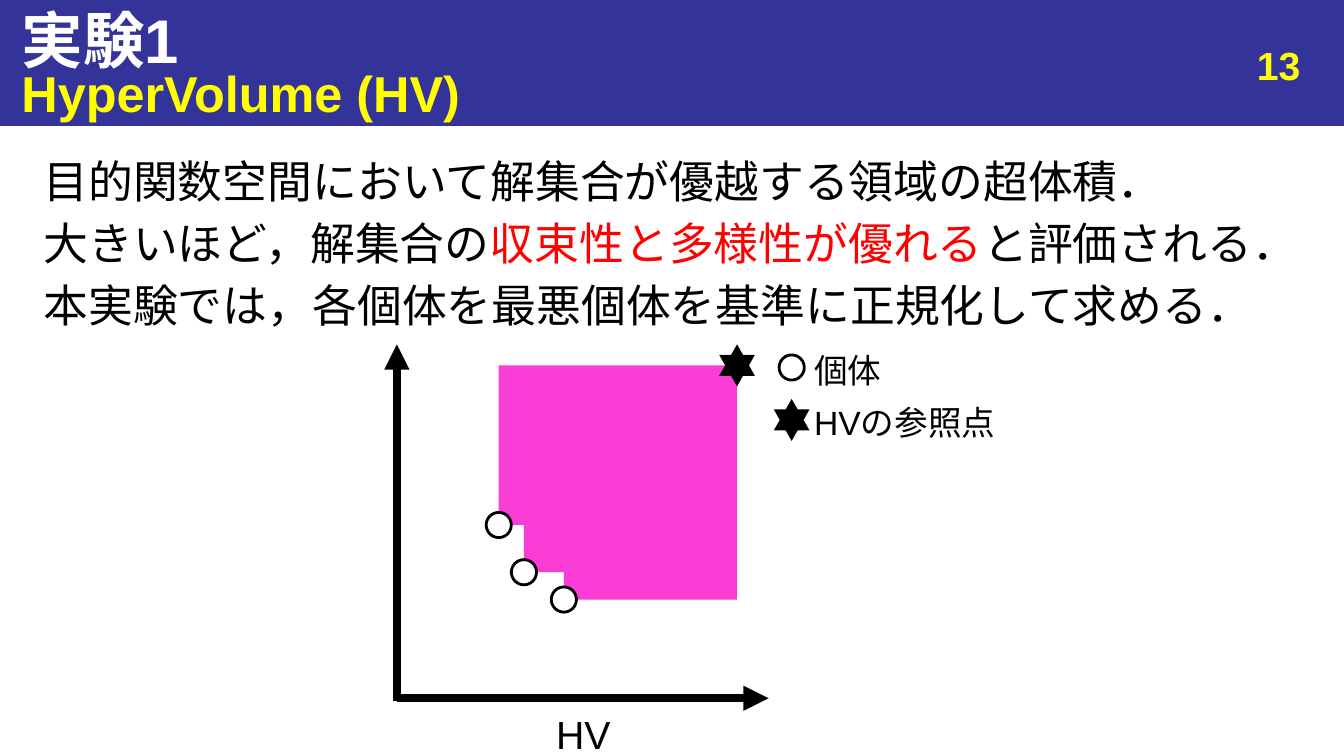
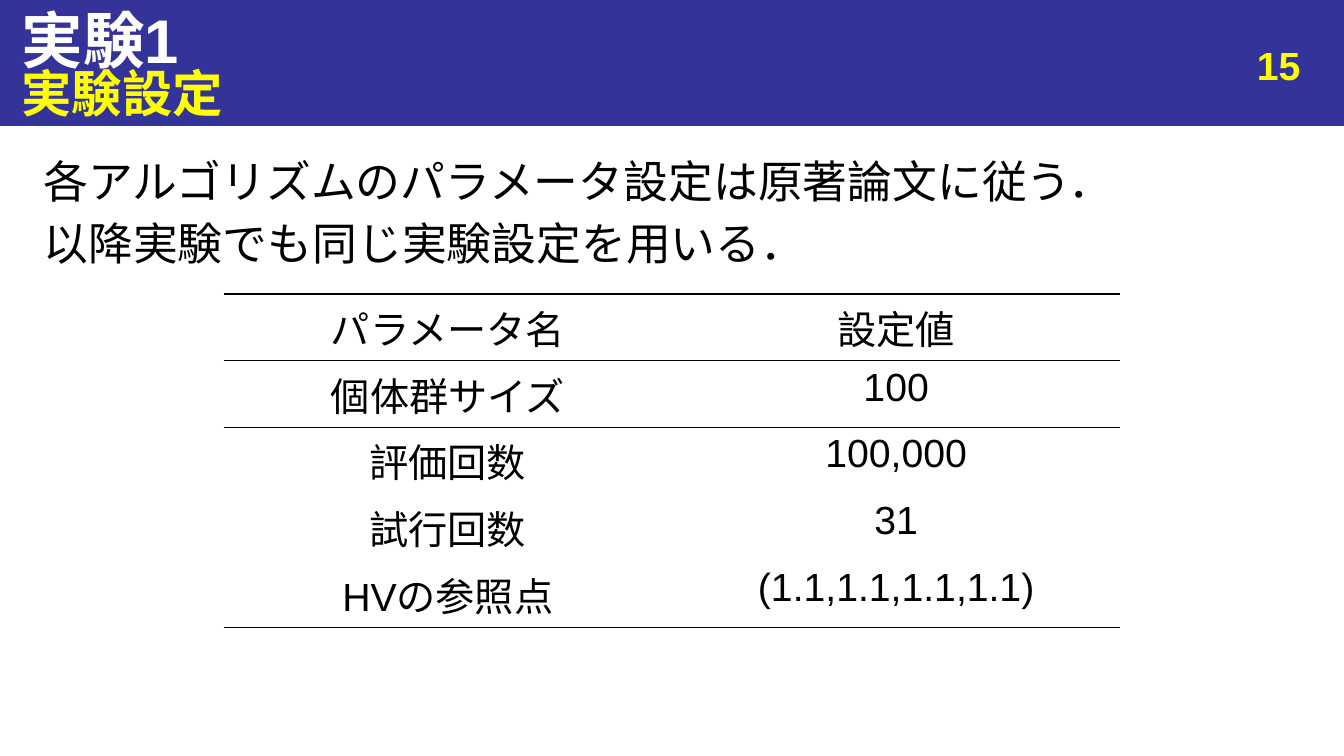
from lxml import etree
from pptx import Presentation
from pptx.dml.color import RGBColor
from pptx.enum.shapes import MSO_CONNECTOR as CONNECTOR, MSO_SHAPE as SHAPE
from pptx.enum.text import MSO_ANCHOR as ANCHOR, MSO_AUTO_SIZE as AUTO_SIZE, PP_ALIGN as ALIGN
from pptx.oxml.ns import qn
from pptx.util import Pt

PX = 9525
WIDTH, HEIGHT = 1280, 720
FONT = "Arial"
NAVY = RGBColor(0x33, 0x33, 0x99)
YELLOW = RGBColor(0xFF, 0xFF, 0x00)
WHITE = RGBColor(0xFF, 0xFF, 0xFF)
BLACK = RGBColor(0, 0, 0)
RED = RGBColor(0xFF, 0, 0)
PINK = RGBColor(0xF9, 0x3D, 0xD5)

TITLE = "実験1"
# Each paragraph is a list of (text, colour) runs.
HV_BODY = [
    [("目的関数空間において解集合が優越する領域の超体積．", BLACK)],
    [("大きいほど，解集合の", BLACK), ("収束性と多様性が優れる", RED), ("と評価される．", BLACK)],
    [("本実験では，各個体を最悪個体を基準に正規化して求める．", BLACK)],
]
SETTINGS_BODY = [
    [("各アルゴリズムのパラメータ設定は原著論文に従う．", BLACK)],
    [("以降実験でも同じ実験設定を用いる．", BLACK)],
]
SETTINGS = [
    ("パラメータ名", "設定値"),
    ("個体群サイズ", "100"),
    ("評価回数", "100,000"),
    ("試行回数", "31"),
    ("HVの参照点", "(1.1,1.1,1.1,1.1)"),
]
RULED_ABOVE = {0, 1, 2, len(SETTINGS)}  # row boundaries that carry a line

INDIVIDUALS = [(475, 500), (499, 545), (537, 571)]
REFERENCE = (702, 348)
ORIGIN = (378, 665)
AXES = [((378, 668), (378, 328)), (ORIGIN, (732, 665))]
LEGEND_X, LEGEND_TEXT_X = 754, 766
LEGEND = [("個体", "individual", 350), ("HVの参照点", "reference", 400)]
MARKERS = {
    "individual": (SHAPE.OVAL, 24, 24, WHITE, BLACK),
    "reference": (SHAPE.STAR_6_POINT, 34, 40, BLACK, None),
}


def px(*lengths):
    return [round(length * PX) for length in lengths]


def write(frame, paragraphs, size, color=BLACK, bold=False, align=ALIGN.LEFT,
          anchor=ANCHOR.TOP, before=0, line=None):
    """Fill a text frame; paragraphs is a string or a list of run lists."""
    if isinstance(paragraphs, str):
        paragraphs = [[(paragraphs, color)]]
    frame.word_wrap = True
    frame.vertical_anchor = anchor
    for index, runs in enumerate(paragraphs):
        para = frame.add_paragraph() if index else frame.paragraphs[0]
        para.alignment = align
        para.space_before = Pt(before)
        if line:
            para.line_spacing = Pt(line)
        for text, run_color in runs:
            span = para.add_run()
            span.text = text
            span.font.name = FONT
            span.font.size = Pt(size)
            span.font.bold = bold
            span.font.color.rgb = run_color


def add_text(page, area, paragraphs, size, **style):
    box = page.shapes.add_textbox(*px(*area))
    box.text_frame.auto_size = AUTO_SIZE.NONE
    write(box.text_frame, paragraphs, size, **style)


def paint(shape, fill, line=None, weight=2):
    shape.shadow.inherit = False
    shape.fill.solid()
    shape.fill.fore_color.rgb = fill
    if line is None:
        shape.line.fill.background()
    else:
        shape.line.color.rgb = line
        shape.line.width = Pt(weight)


def add_page(deck, subtitle, number, body):
    page = deck.slides.add_slide(deck.slide_layouts[5])
    title = page.shapes.title
    band = page.shapes.add_shape(SHAPE.RECTANGLE, *px(0, 0, WIDTH, 120))
    paint(band, NAVY, NAVY, 0.75)
    title._element.addprevious(band._element)
    title.left, title.top, title.width, title.height = px(11, 0, WIDTH - 11, 64)
    title.text_frame.auto_size = AUTO_SIZE.NONE
    write(title.text_frame, TITLE, 44, color=WHITE, bold=True, anchor=ANCHOR.MIDDLE, line=60)
    add_text(page, (32, 142, 1216, 544), body, 32, align=ALIGN.JUSTIFY, before=6.4, line=38)
    add_text(page, (949, 35, 299, 50), number, 28, color=YELLOW, bold=True, align=ALIGN.RIGHT)
    add_text(page, (11, 60, WIDTH - 11, 60), subtitle, 36, color=YELLOW, bold=True,
             anchor=ANCHOR.MIDDLE, before=7.2, line=40)
    return page


def add_marker(page, kind, center):
    preset, width, height, fill, line = MARKERS[kind]
    x, y = center
    marker = page.shapes.add_shape(preset, *px(x - width / 2, y - height / 2, width, height))
    paint(marker, fill, line)


def add_axis(page, start, end):
    axis = page.shapes.add_connector(CONNECTOR.STRAIGHT, *px(*start, *end))
    axis.line.color.rgb = BLACK
    axis.line.width = Pt(6)
    etree.SubElement(axis.line._get_or_add_ln(), qn("a:tailEnd"), type="triangle")
    etree.SubElement(axis._element.spPr, qn("a:effectLst"))


def add_dominated_region(page):
    """Draw the staircase between the individuals and the reference point."""
    right, top = REFERENCE
    corners = [(INDIVIDUALS[0][0], top)]
    for (x, y), (next_x, _) in zip(INDIVIDUALS, INDIVIDUALS[1:] + [REFERENCE]):
        corners += [(x, y), (next_x, y)]
    outline = page.shapes.build_freeform(right, top, scale=PX)
    outline.add_line_segments(corners, close=True)
    paint(outline.convert_to_shape(), PINK)


def add_hypervolume_chart(page):
    add_dominated_region(page)
    for start, end in AXES:
        add_axis(page, start, end)
    for center in INDIVIDUALS:
        add_marker(page, "individual", center)
    add_marker(page, "reference", REFERENCE)
    for label, kind, y in LEGEND:
        add_marker(page, kind, (LEGEND_X, y))
        add_text(page, (LEGEND_TEXT_X, y - 22, 194, 48), label, 24,
                 anchor=ANCHOR.MIDDLE, line=29)
    add_text(page, (482, 672, 147, 48), "HV", 28, align=ALIGN.CENTER)


def set_borders(cell, **visible):
    properties = cell._tc.get_or_add_tcPr()
    for index, side in enumerate(("L", "R", "T", "B")):
        edge = etree.Element(qn(f"a:ln{side}"), w=str(Pt(1)))
        if visible.get(side):
            fill = etree.SubElement(edge, qn("a:solidFill"))
            etree.SubElement(fill, qn("a:srgbClr"), val=str(BLACK))
        else:
            etree.SubElement(edge, qn("a:noFill"))
        properties.insert(index, edge)


def add_settings_table(page):
    rows, columns = len(SETTINGS), len(SETTINGS[0])
    area = px(213, 280, 854, 63 * rows)
    table = page.shapes.add_table(rows, columns, *area).table
    table.first_row = table.horz_banding = False
    for row, values in enumerate(SETTINGS):
        for column, value in enumerate(values):
            cell = table.cell(row, column)
            cell.fill.background()
            write(cell.text_frame, value, 28, align=ALIGN.CENTER)
            set_borders(cell, T=row in RULED_ABOVE, B=row + 1 in RULED_ABOVE)


def main():
    deck = Presentation()
    deck.slide_width, deck.slide_height = px(WIDTH, HEIGHT)
    add_hypervolume_chart(add_page(deck, "HyperVolume (HV)", "13", HV_BODY))
    add_settings_table(add_page(deck, "実験設定", "15", SETTINGS_BODY))
    deck.save("out.pptx")


if __name__ == "__main__":
    main()
